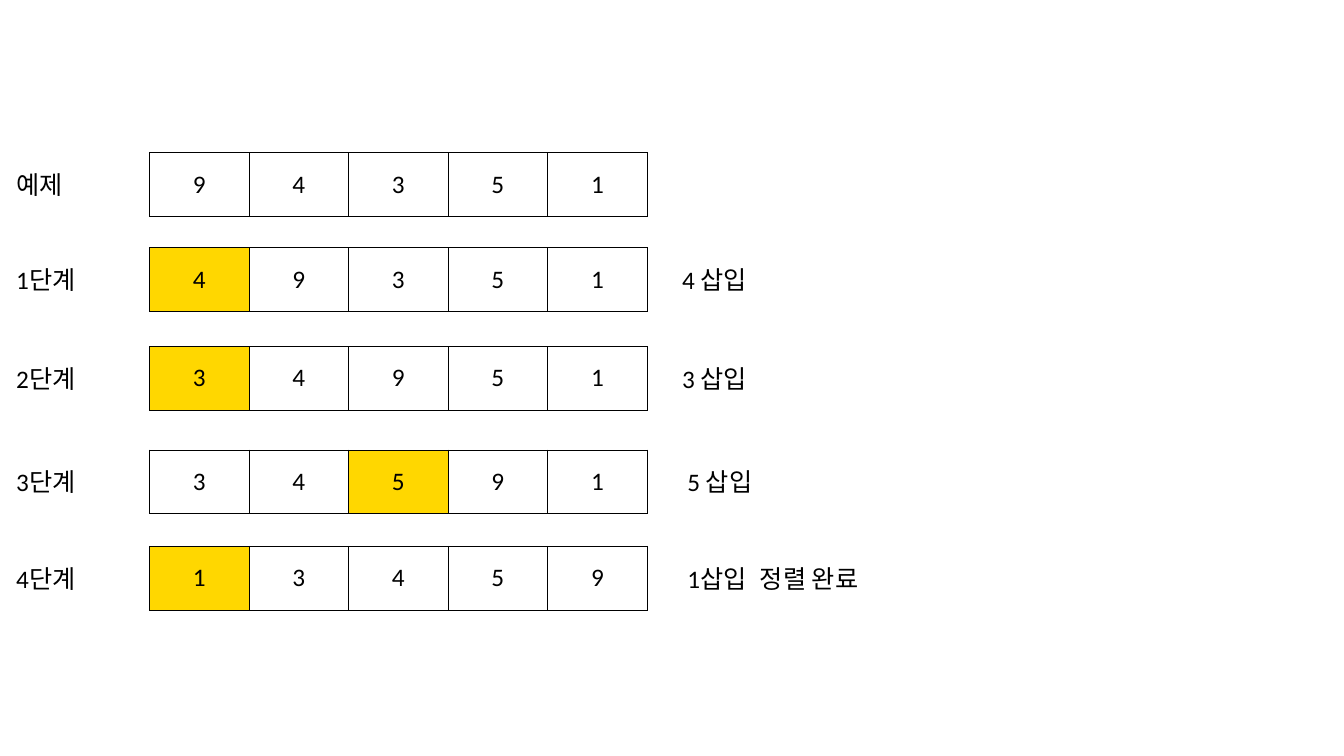
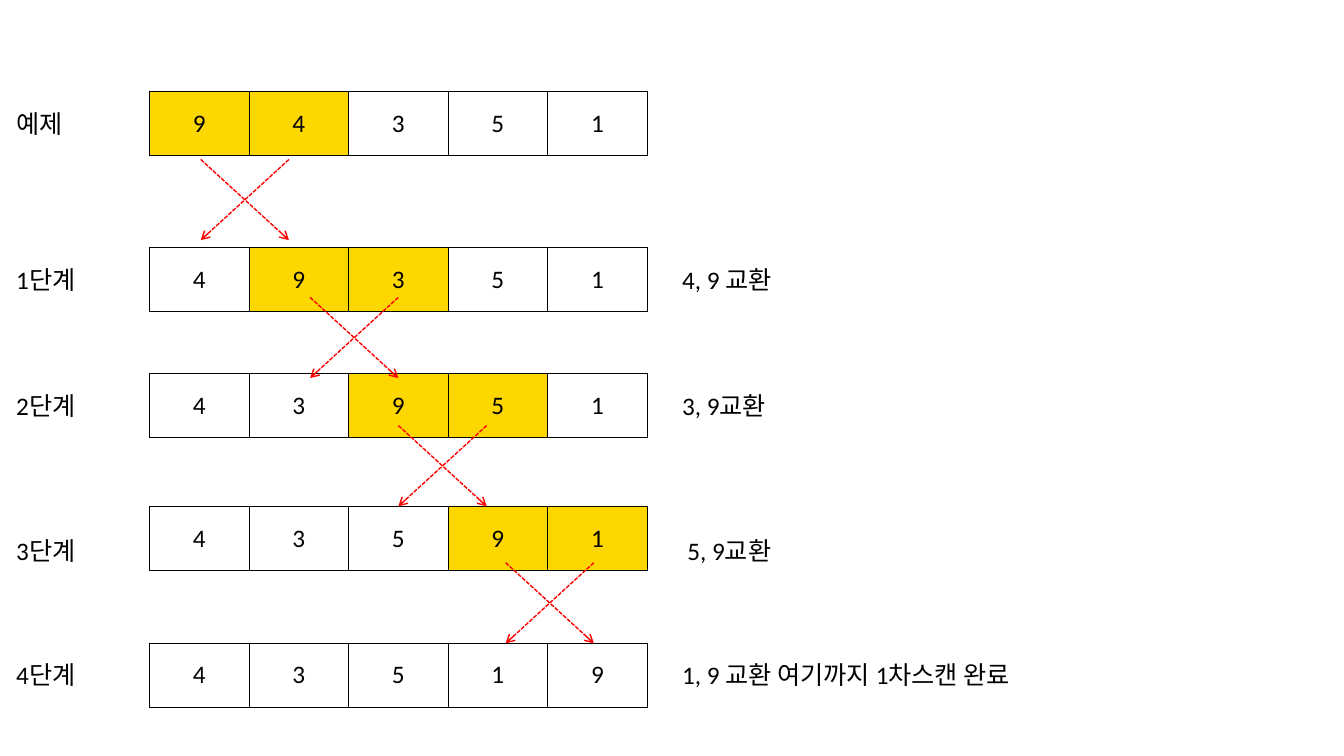
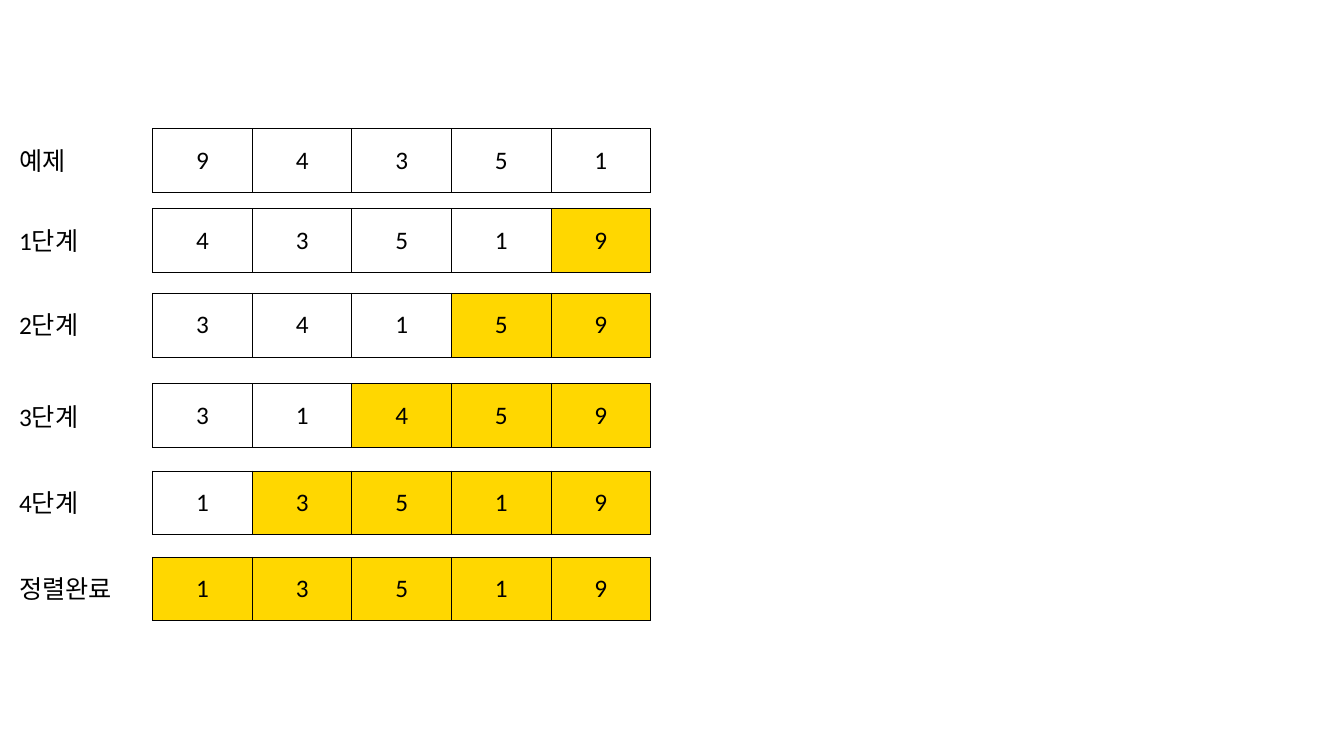
from lxml import etree
from pptx import Presentation
from pptx.dml.color import RGBColor
from pptx.enum import dml, shapes, text
from pptx.oxml.ns import qn
from pptx.util import Pt

# Shared look
FONT, SIZE = "Calibri", 18
BLACK, WHITE, GOLD, RED = "000000", "FFFFFF", "FFD700", "FF0000"
CELL_W, CELL_H, COLS = 71.1, 45.5, 5
LABEL_DROP, TEXT_H = 8.2, 29.1
STEP_W, EXAMPLE_W = 62, 53.3

# Each slide: table left, label left, label fill, rows, notes
# Row: label, label width, table top, label drop, values, gold columns
# Note: row index, text, left, width, wrap
SLIDES = [
    (106.8, 4.5, None, [
        ("예제", EXAMPLE_W, 109, LABEL_DROP, "94351", []),
        ("1단계", STEP_W, 177, LABEL_DROP, "49351", [0]),
        ("2단계", STEP_W, 247.5, LABEL_DROP, "34951", [0]),
        ("3단계", STEP_W, 321.5, LABEL_DROP, "34591", [2]),
        ("4단계", STEP_W, 390.3, LABEL_DROP, "13459", [0]),
    ], [
        (1, "4 삽입", 480.2, 66.2, False),
        (2, "3 삽입", 480.2, 66.2, False),
        (3, "5 삽입", 484, 66.2, False),
        (4, "1삽입", 484, STEP_W, False),
        (4, "정렬 완료", 535.7, 93.6, False),
    ]),
    (106.8, 4.5, None, [
        ("예제", EXAMPLE_W, 65.5, LABEL_DROP, "94351", [0, 1]),
        ("1단계", STEP_W, 177, LABEL_DROP, "49351", [1, 2]),
        ("2단계", STEP_W, 267, LABEL_DROP, "43951", [2, 3]),
        ("3단계", STEP_W, 362, 16.5, "43591", [3, 4]),
        ("4단계", STEP_W, 459.5, LABEL_DROP, "43519", []),
    ], [
        (1, "4, 9 교환", 480.2, 83.5, False),
        (2, "3, 9교환", 480.2, 80, False),
        (3, "5, 9교환", 484, 80, False),
        (4, "1, 9 교환 여기까지 1차스캔 완료", 480.2, 299, True),
    ]),
    (109.2, 6.6, WHITE, [
        ("예제", EXAMPLE_W, 92, LABEL_DROP, "94351", []),
        ("1단계", STEP_W, 149, LABEL_DROP, "43519", [4]),
        ("2단계", STEP_W, 209.5, LABEL_DROP, "34159", [3, 4]),
        ("3단계", STEP_W, 274, 9, "31459", [2, 3, 4]),
        ("4단계", STEP_W, 336.5, LABEL_DROP, "13519", [1, 2, 3, 4]),
        ("정렬완료", 89.3, 398, LABEL_DROP, "13519", [0, 1, 2, 3, 4]),
    ], []),
]

# Crossed arrows on the second slide
CROSSES = [(143.4, 113.9), (221.5, 212.4), (284.6, 304), (361.2, 401.9)]
CROSS_W, CROSS_H = 63, 57.6


def rgb(value):
    return RGBColor.from_string(value)


def write(tf, words):
    tf.text = words
    font = tf.paragraphs[0].runs[0].font
    font.name, font.size = FONT, Pt(SIZE)
    font.bold = False
    font.color.rgb = rgb(BLACK)


prs = Presentation()
prs.slide_width, prs.slide_height = Pt(960), Pt(540)

for table_left, label_left, label_fill, rows, notes in SLIDES:
    s = prs.slides.add_slide(prs.slide_layouts[6])

    # Number rows
    for label, width, top, drop, values, gold in rows:
        frame = s.shapes.add_table(1, COLS, Pt(table_left), Pt(top),
                                   Pt(CELL_W * COLS), Pt(CELL_H))
        table = frame.table
        table.first_row = table.horz_banding = False
        for i, value in enumerate(values):
            table.columns[i].width = Pt(CELL_W)
            cell = table.cell(0, i)
            write(cell.text_frame, value)
            cell.text_frame.paragraphs[0].alignment = text.PP_ALIGN.CENTER
            cell.vertical_anchor = text.MSO_ANCHOR.MIDDLE
            tcPr = cell._tc.get_or_add_tcPr()
            for side in ("a:lnL", "a:lnR", "a:lnT", "a:lnB"):
                ln = etree.SubElement(tcPr, qn(side), w=str(Pt(0.75)))
                fill = etree.SubElement(ln, qn("a:solidFill"))
                etree.SubElement(fill, qn("a:srgbClr"), val=BLACK)
            cell.fill.solid()
            cell.fill.fore_color.rgb = rgb(GOLD if i in gold else WHITE)

    # Labels on the left and notes on the right
    boxes = [(label, label_left, top + drop, width, False, label_fill)
             for label, width, top, drop, _, _ in rows]
    boxes += [(words, left, rows[i][2] + rows[i][3], width, wrap, None)
              for i, words, left, width, wrap in notes]
    for words, left, top, width, wrap, fill in boxes:
        sp = s.shapes.add_textbox(Pt(left), Pt(top), Pt(width), Pt(TEXT_H))
        write(sp.text_frame, words)
        sp.text_frame.word_wrap = wrap
        sp.text_frame.auto_size = text.MSO_AUTO_SIZE.SHAPE_TO_FIT_TEXT
        if fill:
            sp.fill.solid()
            sp.fill.fore_color.rgb = rgb(fill)

# Swap arrows
s = prs.slides[1]
for left, top in CROSSES:
    right = left + CROSS_W
    for start, end in ((left, right), (right, left)):
        arrow = s.shapes.add_connector(shapes.MSO_CONNECTOR.STRAIGHT, Pt(start),
                                       Pt(top), Pt(end), Pt(top + CROSS_H))
        arrow.line.color.rgb = rgb(RED)
        arrow.line.width = Pt(1)
        arrow.line.dash_style = dml.MSO_LINE.SQUARE_DOT
        etree.SubElement(arrow.line._get_or_add_ln(), qn("a:tailEnd"), type="arrow")
        etree.SubElement(arrow._element.spPr, qn("a:effectLst"))

prs.save("out.pptx")
